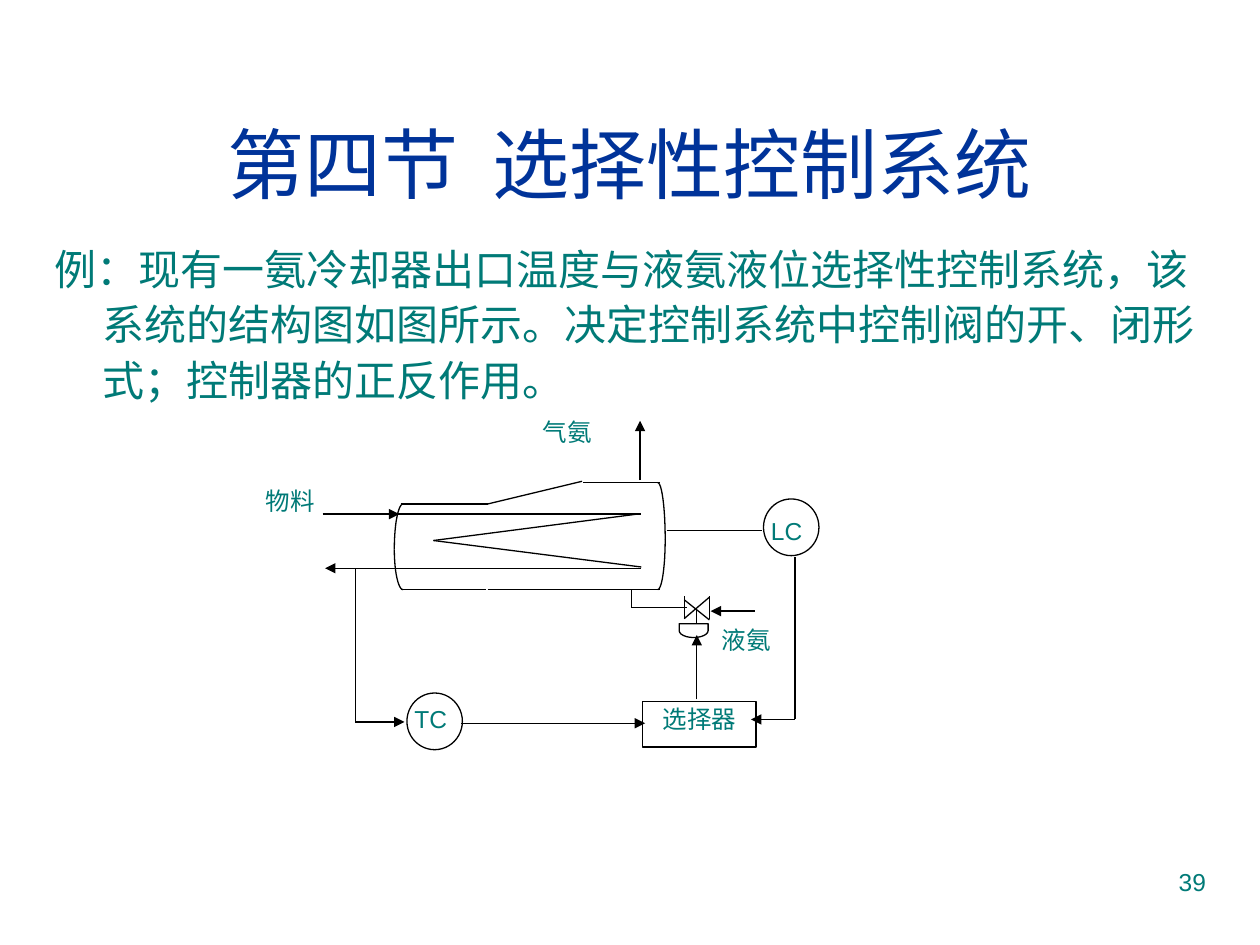
import math

from lxml import etree
from pptx import Presentation
from pptx import util as u
from pptx.dml.color import RGBColor
from pptx.enum import shapes, text
from pptx.oxml import ns

BLUE = RGBColor(0x00, 0x33, 0x99)
TEAL = RGBColor(0x00, 0x7A, 0x77)
BLACK = RGBColor(0x00, 0x00, 0x00)
WHITE = RGBColor(0xFF, 0xFF, 0xFF)

TITLE = "第四节  选择性控制系统"
QUESTION = (
    "例：现有一氨冷却器出口温度与液氨液位选择性控制系统，该系统的结构图如图所示。"
    "决定控制系统中控制阀的开、闭形式；控制器的正反作用。"
)

# Diagram coordinates are inches from the diagram's own corner.
SHELL_LINES = [
    (1.18, 1, 1.87, 1), (1.87, 1, 2.62, 0.82), (2.63, 0.83, 3.24, 0.83),
    (1.18, 1.68, 1.86, 1.68), (1.87, 1.68, 2.69, 1.68), (2.64, 1.68, 3.24, 1.68),
]
SHELL_CURVES = [
    (1.13, 1.36, 1.2, 1), (1.13, 1.36, 1.2, 1.68),
    (3.28, 1.28, 3.22, 0.83), (3.28, 1.28, 3.22, 1.68),
]
TUBE_LINES = [
    (1.09, 1.08, 3.09, 1.08), (1.12, 1.51, 3.09, 1.51),
    (1.44, 1.29, 3.06, 1.08), (1.44, 1.29, 3.09, 1.5),
]
VALVE_LINES = [
    (3.43, 1.91, 3.43, 1.73), (3.63, 1.91, 3.63, 1.73),
    (3.63, 1.92, 3.43, 1.76), (3.43, 1.91, 3.63, 1.74),
    (3.53, 1.83, 3.53, 1.95),
]
PIPES = [
    (3.01, 1.68, 3.01, 1.82), (3.01, 1.82, 3.45, 1.82),
    (3.29, 1.21, 4.05, 1.21), (4.31, 1.42, 4.31, 2.71),
    (0.82, 2.73, 0.82, 1.51),
]
ARROWS = [
    (0.56, 1.08, 1.17, 1.08), (1.18, 1.51, 0.58, 1.51),
    (0.82, 2.73, 1.21, 2.73), (1.66, 2.74, 3.12, 2.74),
    (3.53, 2.55, 3.53, 2.04), (3.99, 1.85, 3.64, 1.85),
    (4.31, 2.71, 3.96, 2.71), (3.08, 0.81, 3.08, 0.34),
]
INSTRUMENTS = [
    (shapes.MSO_SHAPE.OVAL, 1.23, 2.5, 0.44, 0.45, 0),
    (shapes.MSO_SHAPE.OVAL, 4.06, 0.96, 0.44, 0.45, 0),
    (shapes.MSO_SHAPE.RECTANGLE, 3.1, 2.57, 0.9, 0.36, 0),
    (shapes.MSO_SHAPE.FLOWCHART_DELAY, 3.45, 1.89, 0.11, 0.23, 90),
]
LABELS = [
    ("物料", 0.01, 0.81, 0.63), ("气氨", 2.21, 0.26, 0.63),
    ("液氨", 3.63, 1.91, 0.63), ("LC", 4.02, 1.05, 0.63),
    ("TC", 1.19, 2.54, 0.63), ("选择器", 3.16, 2.54, 0.79),
]


def place(shape, box):
    """Move a shape to a box of left, top, width and height in inches."""
    shape.left, shape.top, shape.width, shape.height = map(u.Inches, box)


def format_text(frame, words, size, color, align=text.PP_ALIGN.LEFT):
    """Write one paragraph into a frame and return it."""
    para = frame.paragraphs[0]
    para.text = words
    para.alignment = align
    para.font.name = "Arial"
    para.font.size = u.Pt(size)
    para.font.color.rgb = color
    return para


def add_label(parent, words, box, align=text.PP_ALIGN.LEFT):
    """Add a small teal text box."""
    label = parent.add_textbox(*map(u.Inches, box))
    label.text_frame.word_wrap = True
    format_text(label.text_frame, words, 14, TEAL, align)


def add_line(parent, origin, ends, arrow=False):
    """Add a thin black line, with an arrowhead at its end if asked."""
    left, top = origin
    x1, y1, x2, y2 = ends
    points = (left + x1, top + y1, left + x2, top + y2)
    line = parent.add_connector(shapes.MSO_CONNECTOR.STRAIGHT, *map(u.Inches, points))
    line.line.color.rgb = BLACK
    line.line.width = u.Pt(0.75)
    if arrow:
        outline = line.line._get_or_add_ln()
        etree.SubElement(outline, ns.qn("a:tailEnd"), type="triangle")
    etree.SubElement(line._element.spPr, ns.qn("a:effectLst"))


def add_curve(parent, origin, curve, steps=12):
    """Add a quarter ellipse from the shell's side to one of its corners."""
    left, top = origin
    side_x, side_y, end_x, end_y = curve
    angles = [math.pi / 2 * step / steps for step in range(steps + 1)]
    points = [
        (u.Inches(left + end_x + (side_x - end_x) * math.cos(angle)),
         u.Inches(top + side_y + (end_y - side_y) * math.sin(angle)))
        for angle in angles
    ]
    builder = parent.build_freeform(*points[0])
    builder.add_line_segments(points[1:], close=False)
    shape = builder.convert_to_shape()
    shape.shadow.inherit = False
    shape.fill.background()
    shape.line.color.rgb = BLACK
    shape.line.width = u.Pt(0.75)


def add_instrument(parent, origin, kind, x, y, width, height, turn):
    """Add a white outlined instrument."""
    left, top = origin
    box = (left + x, top + y, width, height)
    shape = parent.add_shape(kind, *map(u.Inches, box))
    shape.rotation = turn
    shape.shadow.inherit = False
    shape.fill.solid()
    shape.fill.fore_color.rgb = WHITE
    shape.line.color.rgb = BLACK
    shape.line.width = u.Pt(0.75)


def add_title(page, box):
    """Fill the title placeholder."""
    place(page.shapes.title, box)
    frame = page.shapes.title.text_frame
    frame.vertical_anchor = text.MSO_ANCHOR.MIDDLE
    format_text(frame, TITLE, 44, BLUE, text.PP_ALIGN.CENTER)


def add_question(page, box):
    """Fill the body placeholder with a hanging paragraph."""
    body = page.placeholders[1]
    place(body, box)
    para = body.text_frame.paragraphs[0]
    props = para._p.get_or_add_pPr()
    props.set("marL", str(u.Inches(0.38)))
    props.set("indent", str(u.Inches(-0.38)))
    etree.SubElement(props, ns.qn("a:buNone"))
    format_text(body.text_frame, QUESTION, 24, TEAL)
    para.line_spacing = 1.1
    para.space_before = u.Pt(0)


def add_diagram(page, origin):
    """Draw the cooler with its valve, controllers and selector."""
    group = page.shapes.add_group_shape().shapes
    for instrument in INSTRUMENTS:
        add_instrument(group, origin, *instrument)
    for curve in SHELL_CURVES:
        add_curve(group, origin, curve)
    for ends in SHELL_LINES + TUBE_LINES + VALVE_LINES + PIPES:
        add_line(group, origin, ends)
    for ends in ARROWS:
        add_line(group, origin, ends, arrow=True)
    left, top = origin
    for words, x, y, width in LABELS:
        add_label(group, words, (left + x, top + y, width, 0.34))


def main():
    """Build and save the slide."""
    deck = Presentation()
    deck.slide_width, deck.slide_height = u.Inches(10), u.Inches(7.5)
    page = deck.slides.add_slide(deck.slide_layouts[1])
    add_title(page, (0.33, 0.67, 9.34, 1.25))
    add_question(page, (0.33, 1.84, 9.34, 4.59))
    add_diagram(page, (2, 3))
    add_label(page.shapes, "39", (7.17, 6.83, 2.5, 0.52), text.PP_ALIGN.RIGHT)
    deck.save("out.pptx")


if __name__ == "__main__":
    main()
